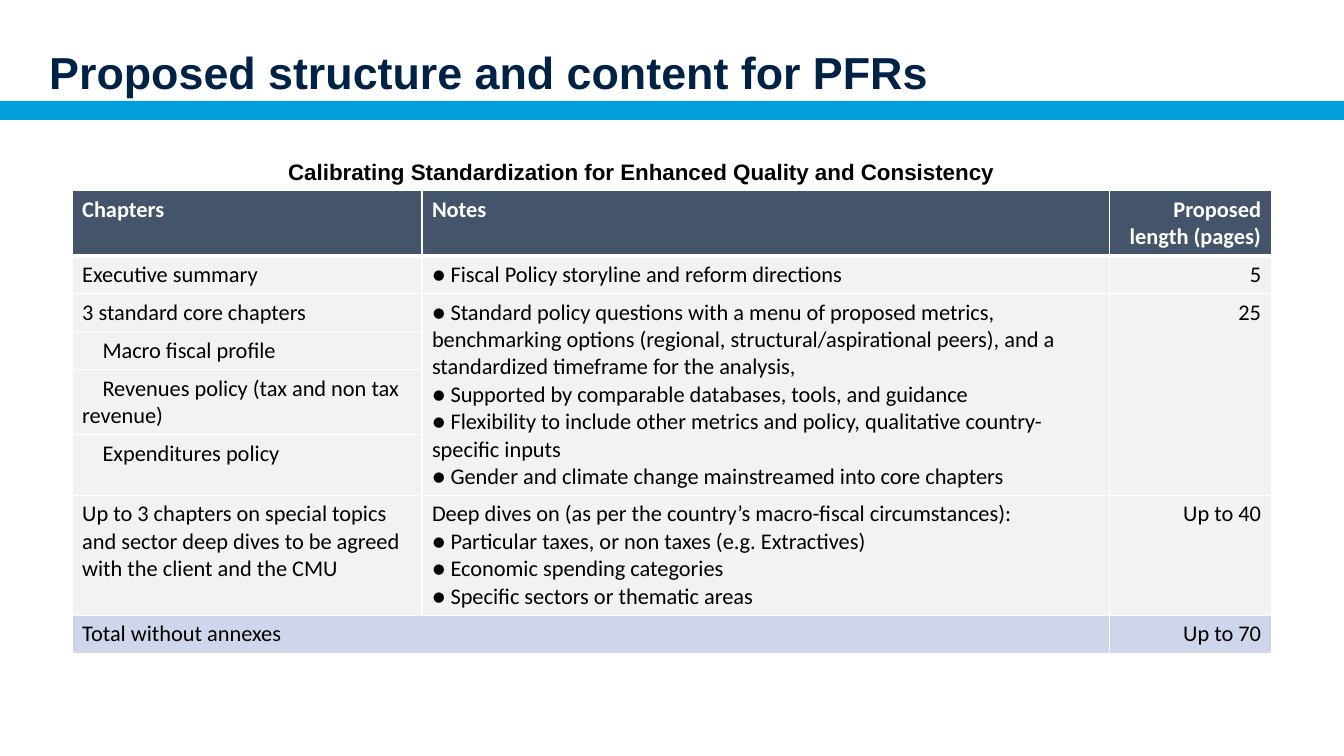
from dataclasses import dataclass

from lxml.etree import SubElement
from pptx import Presentation
from pptx.dml.color import RGBColor
from pptx.enum.shapes import MSO_SHAPE
from pptx.enum.text import MSO_ANCHOR, MSO_AUTO_SIZE, PP_ALIGN
from pptx.oxml.ns import qn
from pptx.slide import Slide
from pptx.table import Table, _Cell as Cell
from pptx.text.text import TextFrame
from pptx.util import Pt


@dataclass(frozen=True)
class Theme:
    navy: str = "002244"
    cyan: str = "009FDA"
    slate: str = "44546A"
    pale: str = "F2F2F2"
    lavender: str = "CFD5EA"
    white: str = "FFFFFF"
    black: str = "000000"
    heading_font: str = "Arial"
    table_font: str = "Calibri"
    title_size: float = 32
    body_size: float = 16
    rule: float = 1
    header_rule: float = 3


@dataclass(frozen=True)
class Box:
    left: float
    top: float
    width: float
    height: float

    def lengths(self) -> tuple[Pt, Pt, Pt, Pt]:
        return Pt(self.left), Pt(self.top), Pt(self.width), Pt(self.height)


@dataclass(frozen=True)
class Heading:
    text: str
    box: Box
    size: float
    color: str
    anchor: MSO_ANCHOR = MSO_ANCHOR.TOP
    fit: MSO_AUTO_SIZE = MSO_AUTO_SIZE.NONE
    line_spacing: float = 1.0


@dataclass(frozen=True)
class Chapter:
    name: str
    notes: str
    pages: str
    height: float
    fill: str
    indent: float = 0


THEME = Theme()
BAND = Box(0, 72, 960, 13.7)
TABLE_BOX = Box(51.5, 136.3, 856.8, 325.4)
COLUMN_WIDTHS = (249.9, 491.2, 115.4)
SUBCHAPTER_INDENT = 14.5
CORE_ROWS = (2, 5)
TOTAL_ROW = 7

HEADINGS = (
    Heading("Proposed structure and content for PFRs", Box(28.1, 23.8, 899.3, 59.8),
            THEME.title_size, THEME.navy, MSO_ANCHOR.MIDDLE, line_spacing=0.9),
    Heading("Calibrating Standardization for Enhanced Quality and Consistency",
            Box(198.7, 109.4, 671, 26.6), THEME.body_size, THEME.black,
            fit=MSO_AUTO_SIZE.SHAPE_TO_FIT_TEXT),
)

CORE_NOTES = "\n".join((
    "● Standard policy questions with a menu of proposed metrics, benchmarking options "
    "(regional, structural/aspirational peers), and a standardized timeframe for the analysis,",
    "● Supported by comparable databases, tools, and guidance",
    "● Flexibility to include other metrics and policy, qualitative country-specific inputs",
    "● Gender and climate change mainstreamed into core chapters",
))
DEEP_DIVE_NOTES = "\n".join((
    "Deep dives on (as per the country’s macro-fiscal circumstances):",
    "● Particular taxes, or non taxes (e.g. Extractives)",
    "● Economic spending categories",
    "● Specific sectors or thematic areas",
))

CHAPTERS = (
    Chapter("Chapters", "Notes", "Proposed length (pages)", 43.2, THEME.slate),
    Chapter("Executive summary", "● Fiscal Policy storyline and reform directions", "5",
            27.2, THEME.pale),
    Chapter("3 standard core chapters", CORE_NOTES, "25", 27.2, THEME.pale),
    Chapter("Macro fiscal profile", "", "", 27.2, THEME.pale, SUBCHAPTER_INDENT),
    Chapter("Revenues policy (tax and non tax revenue)", "", "", 43.2, THEME.pale,
            SUBCHAPTER_INDENT),
    Chapter("Expenditures policy", "", "", 36.7, THEME.pale, SUBCHAPTER_INDENT),
    Chapter("Up to 3 chapters on special topics and sector deep dives to be agreed "
            "with the client and the CMU", DEEP_DIVE_NOTES, "Up to 40", 80, THEME.pale),
    Chapter("Total without annexes", "", "Up to 70", 27.2, THEME.lavender),
)


def style_text(frame: TextFrame, font: str, size: float, color: str, bold: bool) -> None:
    for paragraph in frame.paragraphs:
        for run in paragraph.runs:
            run.font.name = font
            run.font.size = Pt(size)
            run.font.bold = bold
            run.font.color.rgb = RGBColor.from_string(color)


def draw_band(slide: Slide) -> None:
    band = slide.shapes.add_shape(MSO_SHAPE.RECTANGLE, *BAND.lengths())
    band.shadow.inherit = False
    band.fill.solid()
    band.fill.fore_color.rgb = RGBColor.from_string(THEME.cyan)
    band.line.fill.background()


def draw_heading(slide: Slide, heading: Heading) -> None:
    frame = slide.shapes.add_textbox(*heading.box.lengths()).text_frame
    frame.word_wrap = True
    frame.auto_size = heading.fit
    frame.vertical_anchor = heading.anchor
    frame.text = heading.text
    frame.paragraphs[0].line_spacing = heading.line_spacing
    style_text(frame, THEME.heading_font, heading.size, heading.color, True)


def set_borders(cell: Cell, top: float, bottom: float) -> None:
    properties = cell._tc.get_or_add_tcPr()
    widths = {"a:lnL": THEME.rule, "a:lnR": THEME.rule, "a:lnT": top, "a:lnB": bottom}
    for side, width in widths.items():
        border = SubElement(properties, qn(side), w=str(Pt(width)))
        fill = SubElement(border, qn("a:solidFill"))
        SubElement(fill, qn("a:srgbClr"), val=THEME.white)


def fill_row(table: Table, index: int, chapter: Chapter) -> None:
    is_header = index == 0
    top = THEME.header_rule if index == 1 else THEME.rule
    bottom = THEME.header_rule if is_header else THEME.rule
    color = THEME.white if is_header else THEME.black
    table.rows[index].height = Pt(chapter.height)
    cells = [table.cell(index, column) for column in range(len(COLUMN_WIDTHS))]
    for cell, text in zip(cells, (chapter.name, chapter.notes, chapter.pages)):
        set_borders(cell, top, bottom)
        cell.fill.solid()
        cell.fill.fore_color.rgb = RGBColor.from_string(chapter.fill)
        cell.text_frame.text = text
        style_text(cell.text_frame, THEME.table_font, THEME.body_size, color, is_header)
    if chapter.indent:
        name_properties = cells[0].text_frame.paragraphs[0]._p.get_or_add_pPr()
        name_properties.set("marL", "0")
        name_properties.set("indent", str(Pt(chapter.indent)))
    cells[-1].text_frame.paragraphs[0].alignment = PP_ALIGN.RIGHT


def draw_chapters(slide: Slide) -> None:
    table = slide.shapes.add_table(
        len(CHAPTERS), len(COLUMN_WIDTHS), *TABLE_BOX.lengths()).table
    table.horz_banding = False
    for column, width in zip(table.columns, COLUMN_WIDTHS):
        column.width = Pt(width)
    for index, chapter in enumerate(CHAPTERS):
        fill_row(table, index, chapter)
    first, last = CORE_ROWS
    for column in (1, 2):
        table.cell(first, column).merge(table.cell(last, column))
    table.cell(TOTAL_ROW, 0).merge(table.cell(TOTAL_ROW, 1))


def main() -> None:
    presentation = Presentation()
    presentation.slide_width = Pt(960)
    presentation.slide_height = Pt(540)
    slide = presentation.slides.add_slide(presentation.slide_layouts[6])
    draw_band(slide)
    draw_chapters(slide)
    for heading in HEADINGS:
        draw_heading(slide, heading)
    presentation.save("out.pptx")


if __name__ == "__main__":
    main()
